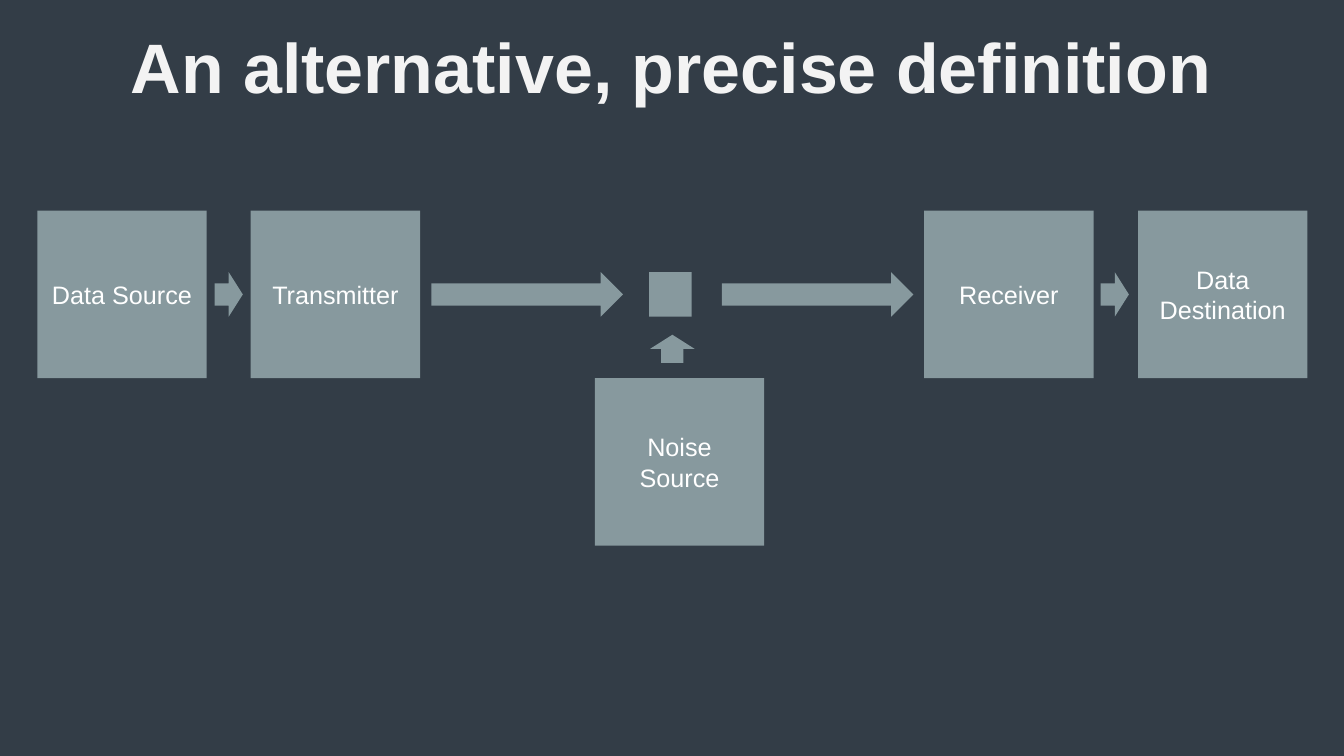
from dataclasses import dataclass

from pptx import Presentation
from pptx.dml.color import RGBColor
from pptx.enum.shapes import MSO_SHAPE
from pptx.enum.text import MSO_ANCHOR, PP_ALIGN
from pptx.util import Cm, Pt


@dataclass(frozen=True)
class Theme:
    font: str = "Arial"
    background: str = "333D47"
    block: str = "87999E"
    title: str = "F3F3F3"
    label: str = "FFFFFF"
    title_size: int = 50
    label_size: int = 18


class DiagramSlide:
    def __init__(self, presentation, theme):
        self.theme = theme
        self.slide = presentation.slides.add_slide(presentation.slide_layouts[6])
        fill = self.slide.background.fill
        fill.solid()
        fill.fore_color.rgb = RGBColor.from_string(theme.background)

    def set_text(self, frame, text, size, color, bold=False):
        frame.text = text
        frame.word_wrap = True
        frame.vertical_anchor = MSO_ANCHOR.MIDDLE
        paragraph = frame.paragraphs[0]
        paragraph.alignment = PP_ALIGN.CENTER
        font = paragraph.runs[0].font
        font.name, font.size, font.bold = self.theme.font, Pt(size), bold
        font.color.rgb = RGBColor.from_string(color)
        return paragraph

    def title(self, text, left, top, width, height):
        heading = self.slide.shapes.add_textbox(Cm(left), Cm(top), Cm(width), Cm(height))
        frame = heading.text_frame
        frame.margin_left = frame.margin_right = frame.margin_top = frame.margin_bottom = 0
        paragraph = self.set_text(frame, text, self.theme.title_size, self.theme.title, bold=True)
        paragraph.line_spacing = 1.05

    def block(self, left, top, width, height, text="", kind=MSO_SHAPE.RECTANGLE):
        block = self.slide.shapes.add_shape(kind, Cm(left), Cm(top), Cm(width), Cm(height))
        block.shadow.inherit = False
        block.fill.solid()
        block.fill.fore_color.rgb = RGBColor.from_string(self.theme.block)
        block.line.fill.background()
        if text:
            self.set_text(block.text_frame, text, self.theme.label_size, self.theme.label)
        return block

    def arrow(self, left, top, width, height, rotation=0):
        arrow = self.block(left, top, width, height, kind=MSO_SHAPE.RIGHT_ARROW)
        arrow.rotation = rotation


def main():
    presentation = Presentation()
    presentation.slide_width, presentation.slide_height = Cm(33.87), Cm(19.05)
    diagram = DiagramSlide(presentation, Theme())
    diagram.title("An alternative, precise definition", 0.58, 0.56, 32.69, 2.08)

    # Stages of the transmission chain
    stage_width, stage_height, stage_top = 4.27, 4.22, 5.31
    stages = [("Data Source", 0.94), ("Transmitter", 6.32),
              ("Receiver", 23.29), ("Data Destination", 28.68)]
    for name, left in stages:
        diagram.block(left, stage_top, stage_width, stage_height, name)

    # Signal flow, with the channel node in the middle
    flow_top, flow_height = 6.86, 1.12
    short, long = 0.71, 4.83
    for left, length in [(5.41, short), (27.74, short), (10.87, long), (18.19, long)]:
        diagram.arrow(left, flow_top, length, flow_height)
    diagram.block(16.36, flow_top, 1.07, flow_height)

    # Noise entering the channel from below
    diagram.block(14.99, stage_top + stage_height, stage_width, stage_height, "Noise Source")
    diagram.arrow(16.59, 8.23, short, flow_height, rotation=270)

    presentation.save("out.pptx")


if __name__ == "__main__":
    main()
